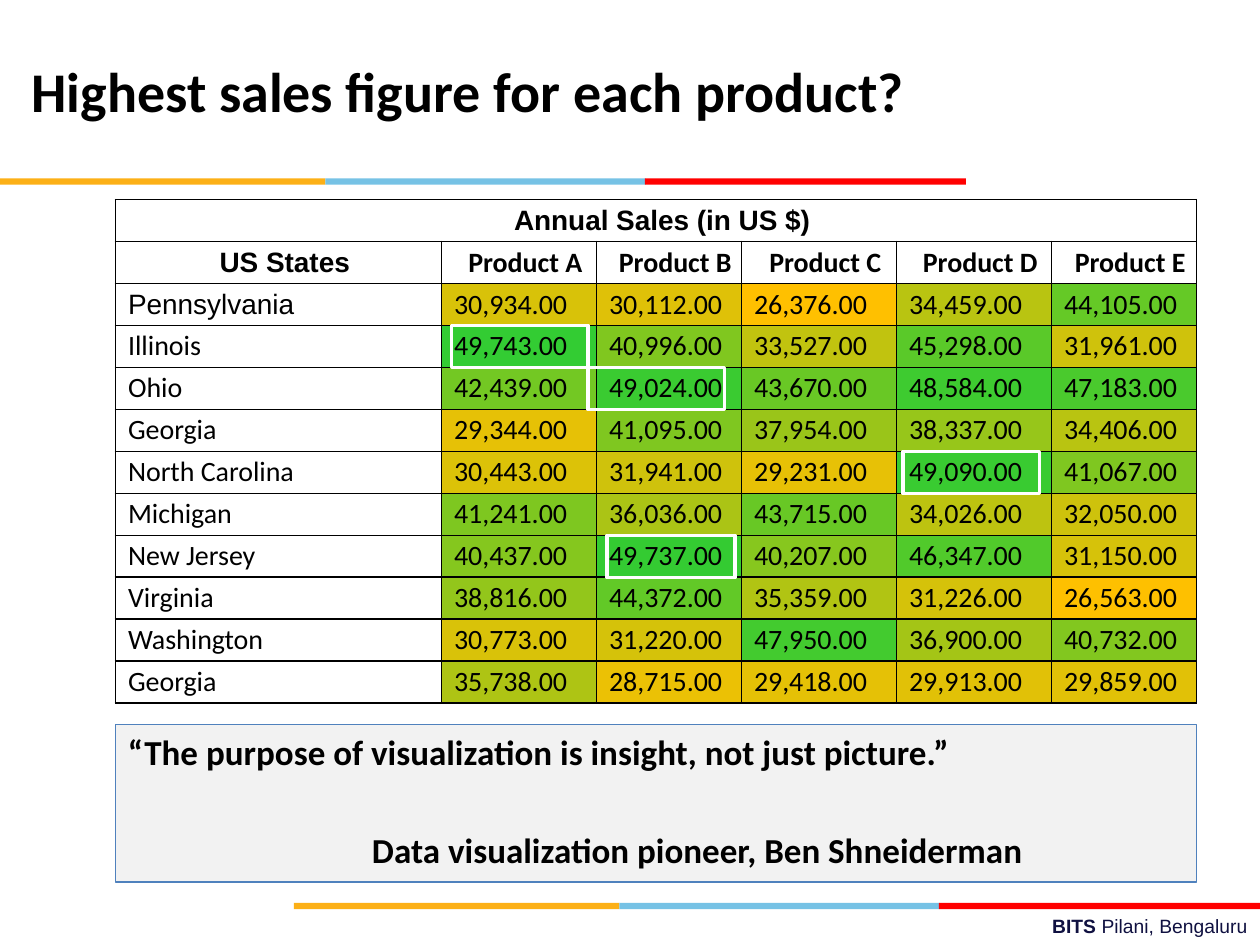
import pptx
import pptx.util
import pptx.dml.color
import pptx.enum.shapes
import pptx.enum.text
import pptx.oxml
import pptx.oxml.ns

Pt = pptx.util.Pt
RGBColor = pptx.dml.color.RGBColor
ALIGN = pptx.enum.text.PP_ALIGN
ANCHOR = pptx.enum.text.MSO_ANCHOR

BLACK = RGBColor(0x00, 0x00, 0x00)
WHITE = RGBColor(0xFF, 0xFF, 0xFF)
NAVY = RGBColor(0x10, 0x11, 0x41)
AMBER = RGBColor(0xFC, 0xB0, 0x17)
SKY = RGBColor(0x76, 0xC2, 0xE5)
RED = RGBColor(0xFF, 0x00, 0x00)
PALE_GREY = RGBColor(0xF2, 0xF2, 0xF2)
BLUE = RGBColor(0x4F, 0x81, 0xBD)
LOW_SALES = RGBColor(0xFF, 0xC0, 0x00)
HIGH_SALES = RGBColor(0x33, 0xCC, 0x33)

PRODUCTS = ["Product A", "Product B", "Product C", "Product D", "Product E"]
SALES = [
    ("Pennsylvania", [30934, 30112, 26376, 34459, 44105]),
    ("Illinois", [49743, 40996, 33527, 45298, 31961]),
    ("Ohio", [42439, 49024, 43670, 48584, 47183]),
    ("Georgia", [29344, 41095, 37954, 38337, 34406]),
    ("North Carolina", [30443, 31941, 29231, 49090, 41067]),
    ("Michigan", [41241, 36036, 43715, 34026, 32050]),
    ("New Jersey", [40437, 49737, 40207, 46347, 31150]),
    ("Virginia", [38816, 44372, 35359, 31226, 26563]),
    ("Washington", [30773, 31220, 47950, 36900, 40732]),
    ("Georgia", [35738, 28715, 29418, 29913, 29859]),
]
COLUMN_WIDTHS = [186.3, 88.6, 82.8, 88.6, 88.6, 82.8]
ROW_HEIGHT = 24
TABLE_LEFT, TABLE_TOP, TABLE_WIDTH = 66, 114, sum(COLUMN_WIDTHS)


def add_span(para, text, size, font="Calibri", bold=True, color=BLACK):
    span = para.add_run()
    span.text = text
    span.font.name = font
    span.font.size = Pt(size)
    span.font.bold = bold
    span.font.color.rgb = color


def add_rectangle(left, top, width, height, fill=None, line=None, line_width=1):
    box = slide.shapes.add_shape(
        pptx.enum.shapes.MSO_SHAPE.RECTANGLE, Pt(left), Pt(top), Pt(width), Pt(height))
    box.shadow.inherit = False
    if fill is None:
        box.fill.background()
    else:
        box.fill.solid()
        box.fill.fore_color.rgb = fill
    if line is None:
        box.line.fill.background()
    else:
        box.line.color.rgb = line
        box.line.width = Pt(line_width)
    return box


deck = pptx.Presentation()
deck.slide_width, deck.slide_height = Pt(720), Pt(540)
slide = deck.slides.add_slide(deck.slide_layouts[6])

# Footer and the two three-coloured rules
footer = slide.shapes.add_textbox(Pt(258), Pt(519), Pt(462), Pt(21))
footer.text_frame.word_wrap = True
para = footer.text_frame.paragraphs[0]
para.alignment = ALIGN.RIGHT
add_span(para, "BITS ", 11, "Arial", True, NAVY)
add_span(para, "Pilani, Bengaluru", 11, "Arial", False, NAVY)

for rule_left, rule_top in [(168, 516), (0, 102)]:
    for offset, width, color in [(0, 186, AMBER), (186, 183, SKY), (368.5, 183.5, RED)]:
        add_rectangle(rule_left + offset, rule_top, width, 3.5, color)

# Title
title = slide.shapes.add_textbox(Pt(18), Pt(18), Pt(516), Pt(67))
frame = title.text_frame
frame.word_wrap = True
frame.vertical_anchor = ANCHOR.MIDDLE
frame.margin_left = frame.margin_right = frame.margin_top = frame.margin_bottom = 0
add_span(frame.paragraphs[0], "Highest sales figure for each product?", 32)

# Sales table, shaded from the lowest to the highest figure
rows = [["Annual Sales (in US $)"] + [""] * 5, ["US States"] + PRODUCTS]
rows += [[state] + figures for state, figures in SALES]
lowest = min(min(figures) for _, figures in SALES)
highest = max(max(figures) for _, figures in SALES)

table = slide.shapes.add_table(
    len(rows), len(COLUMN_WIDTHS), Pt(TABLE_LEFT), Pt(TABLE_TOP),
    Pt(TABLE_WIDTH), Pt(ROW_HEIGHT * len(rows))).table
table.first_row = table.horz_banding = False
for column, width in zip(table.columns, COLUMN_WIDTHS):
    column.width = Pt(width)
table.cell(0, 0).merge(table.cell(0, 5))

for row_index, values in enumerate(rows):
    table.rows[row_index].height = Pt(ROW_HEIGHT)
    is_header = row_index < 2
    for column_index, value in enumerate(values):
        cell = table.cell(row_index, column_index)
        cell.vertical_anchor = ANCHOR.MIDDLE
        cell.margin_left, cell.margin_right = Pt(7.2), 0
        cell.margin_top = cell.margin_bottom = Pt(1.5)

        properties = cell._tc.get_or_add_tcPr()
        for side in ("lnL", "lnR", "lnT", "lnB"):
            properties.append(pptx.oxml.parse_xml(
                f'<a:{side} {pptx.oxml.ns.nsdecls("a")} w="{Pt(1)}"><a:solidFill>'
                f'<a:srgbClr val="{BLACK}"/></a:solidFill></a:{side}>'))

        if isinstance(value, int):
            share = (value - lowest) / (highest - lowest)
            cell.fill.solid()
            cell.fill.fore_color.rgb = RGBColor(*(
                low + int((high - low) * share)
                for low, high in zip(LOW_SALES, HIGH_SALES)))
            value = f"{value:,.2f}"
        else:
            cell.fill.background()

        if value:
            para = cell.text_frame.paragraphs[0]
            para.alignment = ALIGN.CENTER if is_header else ALIGN.LEFT
            in_arial = column_index == 0 and row_index < 3
            add_span(para, value, 16, "Arial" if in_arial else "Calibri", is_header)

# Quotation
quote = add_rectangle(TABLE_LEFT, 414, TABLE_WIDTH, 90, PALE_GREY, BLUE, 0.75)
frame = quote.text_frame
frame.word_wrap = True
frame.vertical_anchor = ANCHOR.TOP
para = frame.paragraphs[0]
para.alignment = ALIGN.LEFT
add_span(para, "“The purpose of visualization is insight, not just picture.”", 20)

para = frame.add_paragraph()
para.alignment = ALIGN.LEFT
para.space_before = Pt(32)
para._p.get_or_add_pPr().set("marL", str(Pt(139.5)))
add_span(para, "Data visualization pioneer, Ben Shneiderman", 20)

# Frames around the highest figures
for left, row_index, width in [(258, 3, 78), (336, 4, 78), (347, 8, 73), (516, 6, 78)]:
    add_rectangle(left, TABLE_TOP + ROW_HEIGHT * row_index, width, ROW_HEIGHT,
                  line=WHITE, line_width=2)

deck.save("out.pptx")
